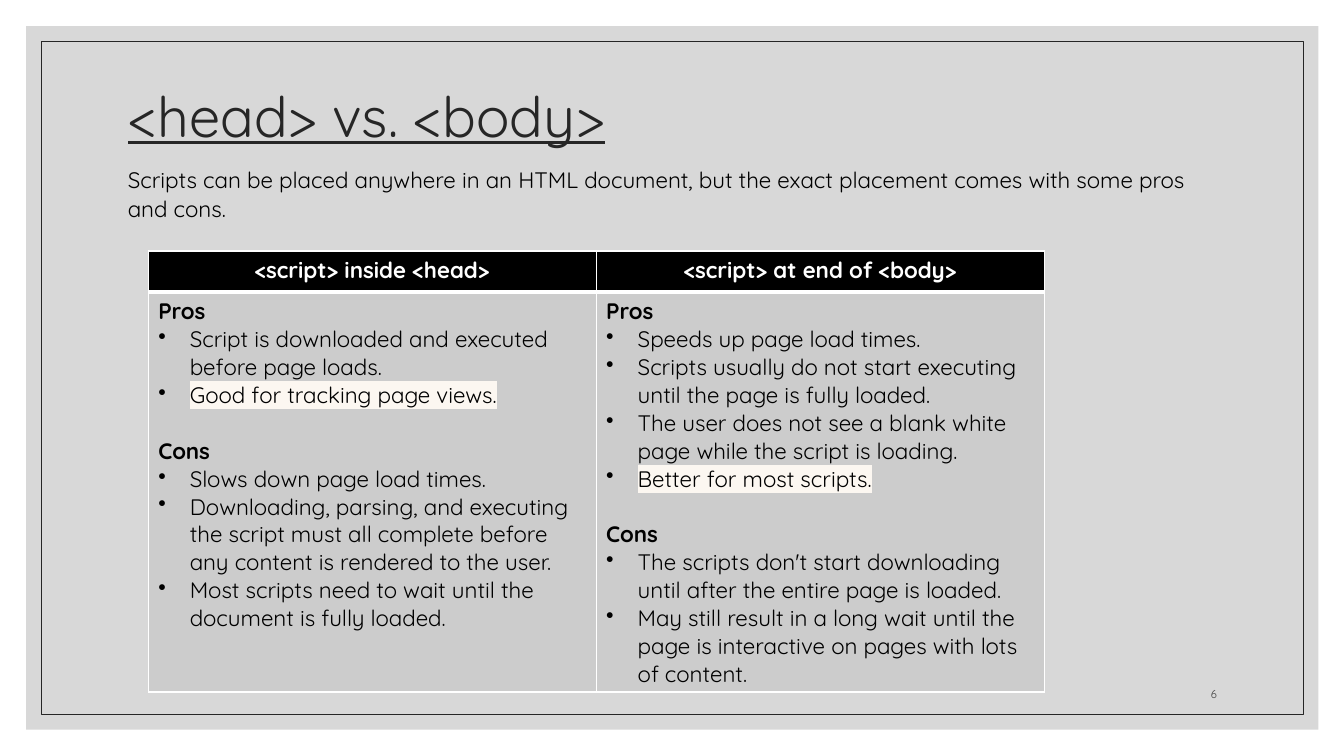
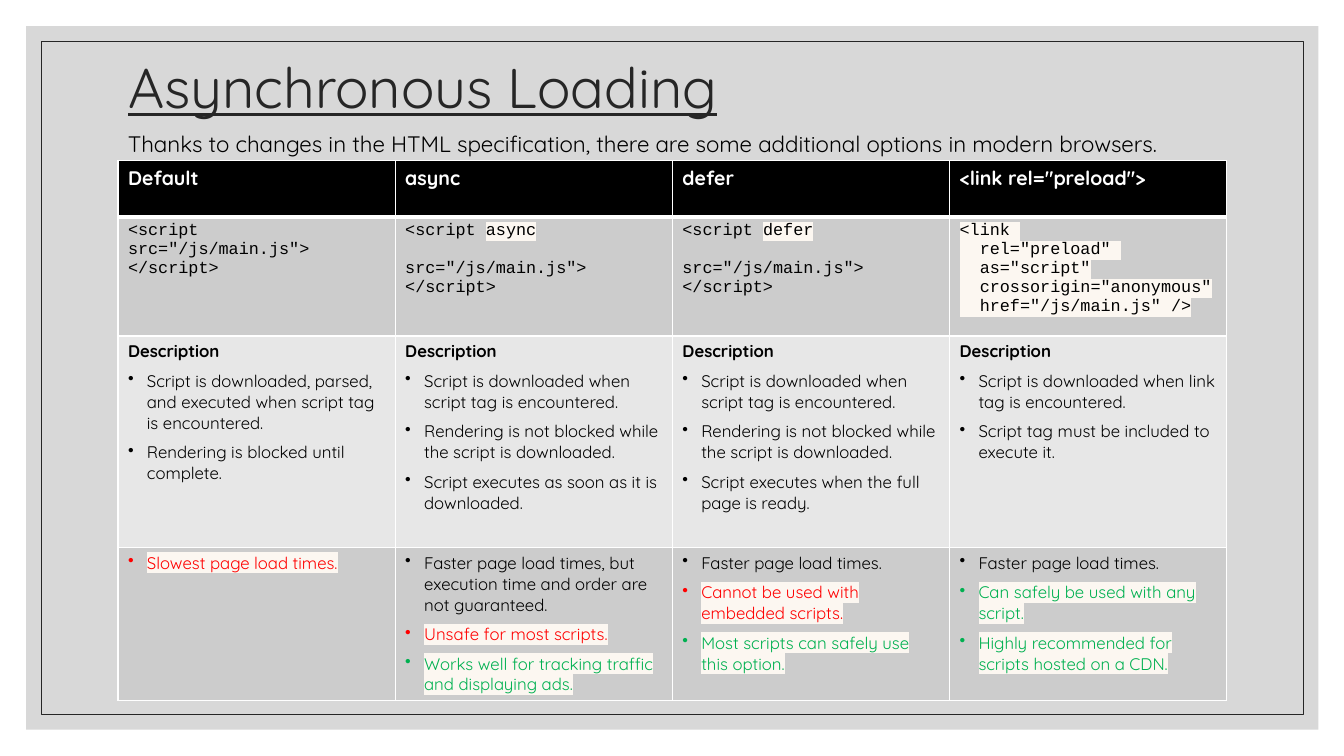
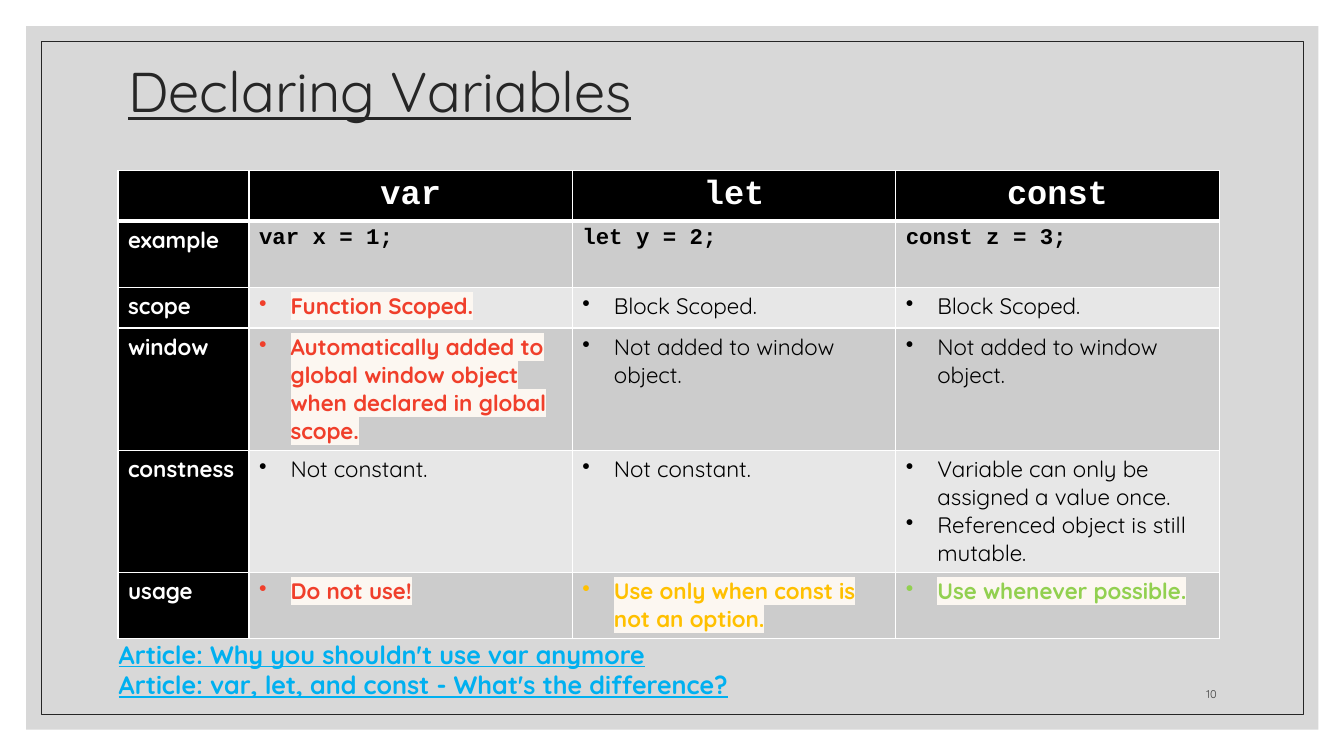
from dataclasses import dataclass
from typing import Any

from lxml.etree import SubElement as Sub
from pptx import Presentation
from pptx.dml.color import RGBColor
from pptx.enum.shapes import MSO_SHAPE as Kind
from pptx.enum.text import MSO_ANCHOR as Anchor, MSO_AUTO_SIZE as Fit, PP_ALIGN as Align
from pptx.oxml.ns import qn
from pptx.util import Pt

# Shared look
FONT, CODE = "Quicksand", "Courier New"
BLACK, WHITE, INK, GREY = "000000", "FFFFFF", "262626", "404040"
BANDS = ("E7E7E7", "CCCCCC")
MARK = "FCF7F1"
RED, GREEN = "FF0000", "00B050"
CORAL, AMBER, LIME, SKY = "F03F2B", "FFC000", "92D050", "00B0F0"
LEFT, WIDE = 84.24, 792


@dataclass(frozen=True)
class Box:
    x: float
    y: float
    w: float
    h: float

    def pts(self) -> tuple:
        return Pt(self.x), Pt(self.y), Pt(self.w), Pt(self.h)


@dataclass(frozen=True)
class Line:
    text: str
    fmt: dict[str, Any]


@dataclass(frozen=True)
class Grid:
    x: float
    y: float
    cols: list[float]
    rows: list[float]
    cells: list[list[list[Line]]]
    base: dict[str, Any]
    side: bool = False
    mid: bool = False


def rgb(code: str) -> RGBColor:
    return RGBColor.from_string(code)


def line(text: str, **fmt: Any) -> Line:
    return Line(text, fmt)


# Text
def write(frame: Any, text: str, *, size: float = 16, font: str = FONT,
          color: str = BLACK, bold: bool = False, under: bool = False,
          mark: str = "", align: Any = Align.LEFT, space: float = 1,
          before: float = 0, after: float = 0, dent: float = 0) -> None:
    """Add one paragraph; mark is the part of the text to highlight."""
    para = frame.add_paragraph() if frame.text else frame.paragraphs[0]
    para.alignment, para.line_spacing = align, space
    para.space_before, para.space_after = Pt(before), Pt(after)
    if dent:
        props = para._p.get_or_add_pPr()
        props.set("marL", str(Pt(dent)))
        props.set("indent", str(-Pt(dent)))
        Sub(props, qn("a:buChar"), char="•")
    for part in text.partition(mark) if mark else (text,):
        if not part:
            continue
        run = para.add_run()
        run.text = part
        face = run.font
        face.size, face.name, face.bold, face.underline = Pt(size), font, bold, under
        face.color.rgb = rgb(color)
        if part == mark:
            props = run._r.get_or_add_rPr()
            glow = Sub(props, qn("a:highlight"))
            Sub(glow, qn("a:srgbClr"), val=MARK)
            props.find(qn("a:solidFill")).addnext(glow)


def label(slide: Any, box: Box, lines: list[str], anchor: Any = Anchor.TOP,
          **fmt: Any) -> None:
    frame = slide.shapes.add_textbox(*box.pts()).text_frame
    frame.word_wrap, frame.vertical_anchor = True, anchor
    for text in lines:
        write(frame, text, **fmt)


# Tables
def edge(cell: Any, head: bool) -> None:
    props = cell._tc.get_or_add_tcPr()
    for spot, side in enumerate("LRTB"):
        wide = 3 if head and side == "B" else 1
        rule = Sub(props, qn(f"a:ln{side}"), w=str(Pt(wide)))
        fill = Sub(rule, qn("a:solidFill"))
        Sub(fill, qn("a:srgbClr"), val=WHITE)
        props.insert(spot, rule)


def draw(slide: Any, grid: Grid) -> None:
    box = Box(grid.x, grid.y, sum(grid.cols), sum(grid.rows))
    table = slide.shapes.add_table(len(grid.rows), len(grid.cols), *box.pts()).table
    table.first_row = table.horz_banding = False
    for col, wide in zip(table.columns, grid.cols):
        col.width = Pt(wide)
    for r, (row, high) in enumerate(zip(table.rows, grid.rows)):
        row.height = Pt(high)
        for c, cell in enumerate(row.cells):
            dark = r == 0 or (grid.side and c == 0)
            cell.fill.solid()
            cell.fill.fore_color.rgb = rgb(BLACK if dark else BANDS[r % 2])
            edge(cell, r == 0)
            if grid.mid and r == 0:
                cell.vertical_anchor = Anchor.MIDDLE
            tone = {"color": WHITE, "bold": True} if dark else {}
            for item in grid.cells[r][c]:
                write(cell.text_frame, item.text, **{**grid.base, **tone, **item.fmt})


# Page parts
def border(slide: Any, layout: Any) -> None:
    """Put the grey panel and its thin rule on the layout."""
    panel = slide.shapes.add_shape(Kind.RECTANGLE, *Box(18.72, 18.72, 923.04, 502.56).pts())
    panel.fill.solid()
    panel.fill.fore_color.rgb = rgb("BFBFBF")
    Sub(panel.element.spPr.find(".//" + qn("a:srgbClr")), qn("a:alpha"), val="60000")
    panel.line.fill.background()
    rule = slide.shapes.add_shape(Kind.RECTANGLE, *Box(29.52, 29.52, 901.44, 480.96).pts())
    rule.fill.background()
    rule.line.color.rgb, rule.line.width = rgb(INK), Pt(0.5)
    for spot, shape in enumerate((panel, rule), 2):
        shape.shadow.inherit = False
        layout.shapes.element.insert(spot, shape.element)


def page(deck: Any, layout: Any, title: str, top: float, number: str = "") -> Any:
    slide = deck.slides.add_slide(layout)
    head = slide.shapes.title
    head.left, head.top, head.width, head.height = Box(LEFT, top, WIDE, 108).pts()
    frame = head.text_frame
    frame.auto_size, frame.word_wrap = Fit.NONE, True
    frame.vertical_anchor = Anchor.MIDDLE
    write(frame, title, size=40, color=INK, under=True, space=0.9)
    if number:
        label(slide, Box(810, 475.2, 66.24, 28.8), [number], Anchor.BOTTOM,
              size=8, color=GREY, align=Align.RIGHT)
    return slide


def dots(*texts: str, **fmt: Any) -> list[Line]:
    return [line(text, **fmt) for text in texts]


def note(text: str, color: str = BLACK, **fmt: Any) -> Line:
    """A bullet that is highlighted as a whole."""
    return line(text, color=color, mark=text, **fmt)


deck = Presentation()
deck.slide_width, deck.slide_height = Pt(960), Pt(540)
layout = deck.slide_layouts[5]

# Slide 1: script placement
slide = page(deck, layout, "<head> vs. <body>", 30.96, "6")
border(slide, layout)
label(slide, Box(LEFT, 113.04, WIDE, 51.12),
      ["Scripts can be placed anywhere in an HTML document, but the exact "
       "placement comes with some pros and cons."], space=1.1)
DENT = 22.5
pros = line("Pros", bold=True)
cons = line("Cons", bold=True, before=20)
draw(slide, Grid(105.84, 179.28, [320] * 2, [29.5, 285.5], [
    [[line("<script> inside <head>", align=Align.CENTER)],
     [line("<script> at end of <body>", align=Align.CENTER)]],
    [[pros,
      *dots("Script is downloaded and executed before page loads.", dent=DENT),
      note("Good for tracking page views.", dent=DENT),
      cons,
      *dots("Slows down page load times.",
            "Downloading, parsing, and executing the script must all complete "
            "before any content is rendered to the user.",
            "Most scripts need to wait until the document is fully loaded.", dent=DENT)],
     [pros,
      *dots("Speeds up page load times.",
            "Scripts usually do not start executing until the page is fully loaded.",
            "The user does not see a blank white page while the script is loading.",
            dent=DENT),
      note("Better for most scripts.", dent=DENT),
      cons,
      *dots("The scripts don't start downloading until after the entire page is loaded.",
            "May still result in a long wait until the page is interactive on "
            "pages with lots of content.", dent=DENT)]],
], {"size": 16}))

# Slide 2: loading options
slide = page(deck, layout, "Asynchronous Loading", 10.8)
label(slide, Box(LEFT, 87.84, WIDE, 30.96),
      ["Thanks to changes in the HTML specification, there are some additional "
       "options in modern browsers."], space=1.1)


def source(word: str) -> list[Line]:
    return [line(f"<script {word}", font=CODE, mark=word),
            line('src="/js/main.js">', font=CODE, before=13.6),
            line("</script>", font=CODE)]


def about(*texts: str) -> list[Line]:
    return [line("Description", bold=True, after=6), *dots(*texts, dent=13.5, after=6)]


def rate(*items: tuple[str, str]) -> list[Line]:
    return [line(text, color=color, dent=13.5, before=6,
                 mark="" if color == BLACK else text) for text, color in items]


fetch = "Script is downloaded when script tag is encountered."
free = "Rendering is not blocked while the script is downloaded."
fast = ("Faster page load times.", BLACK)
draw(slide, Grid(LEFT, 114.84, [198] * 4, [40, 85.2, 151, 109.4], [
    [[line(text, size=14)] for text in ("Default", "async", "defer", '<link rel="preload">')],
    [dots('<script src="/js/main.js">', "</script>", font=CODE),
     source("async"), source("defer"),
     [note(text, font=CODE) for text in (
         "<link ", '  rel="preload" ', '  as="script"',
         '  crossorigin="anonymous"', '  href="/js/main.js" />')]],
    [about("Script is downloaded, parsed, and executed when script tag is encountered.",
           "Rendering is blocked until complete."),
     about(fetch, free, "Script executes as soon as it is downloaded."),
     about(fetch, free, "Script executes when the full page is ready."),
     about("Script is downloaded when link tag is encountered.",
           "Script tag must be included to execute it.")],
    [rate(("Slowest page load times.", RED)),
     rate(("Faster page load times, but execution time and order are not guaranteed.", BLACK),
          ("Unsafe for most scripts.", RED),
          ("Works well for tracking traffic and displaying ads.", GREEN)),
     rate(fast, ("Cannot be used with embedded scripts.", RED),
          ("Most scripts can safely use this option.", GREEN)),
     rate(fast, ("Can safely be used with any script.", GREEN),
          ("Highly recommended for scripts hosted on a CDN.", GREEN))],
], {"size": 12}))

# Slide 3: variables
slide = page(deck, layout, "Declaring Variables", 13.68, "10")


def plain(*texts: str) -> list[Line]:
    return dots(*texts, dent=DENT)


def loud(text: str, color: str) -> list[Line]:
    return [note(text, color, bold=True, dent=DENT)]


def name(text: str) -> list[Line]:
    return [line(text)]


block, apart, loose = "Block Scoped.", "Not added to window object.", "Not constant."
draw(slide, Grid(LEFT, 121.68, [93.6] + [231] * 3, [34.4, 47.6, 29, 87.2, 87.2, 47.2], [
    [[], *([line(text, size=24, font=CODE, align=Align.CENTER)]
           for text in ("var", "let", "const"))],
    [name("example"), *([line(text, font=CODE, bold=True)]
                        for text in ("var x = 1;", "let y = 2;", "const z = 3;"))],
    [name("scope"), loud("Function Scoped.", CORAL), plain(block), plain(block)],
    [name("window"),
     loud("Automatically added to global window object when declared in global scope.", CORAL),
     plain(apart), plain(apart)],
    [name("constness"), plain(loose), plain(loose),
     plain("Variable can only be assigned a value once.",
           "Referenced object is still mutable.")],
    [name("usage"), loud("Do not use!", CORAL),
     loud("Use only when const is not an option.", AMBER),
     loud("Use whenever possible.", LIME)],
], {"size": 16}, side=True, mid=True))
label(slide, Box(77.76, 452.88, WIDE, 51.12),
      ["Article: Why you shouldn't use var anymore",
       "Article: var, let, and const - What's the difference?"],
      size=18, color=SKY, bold=True, under=True)

deck.save("out.pptx")
